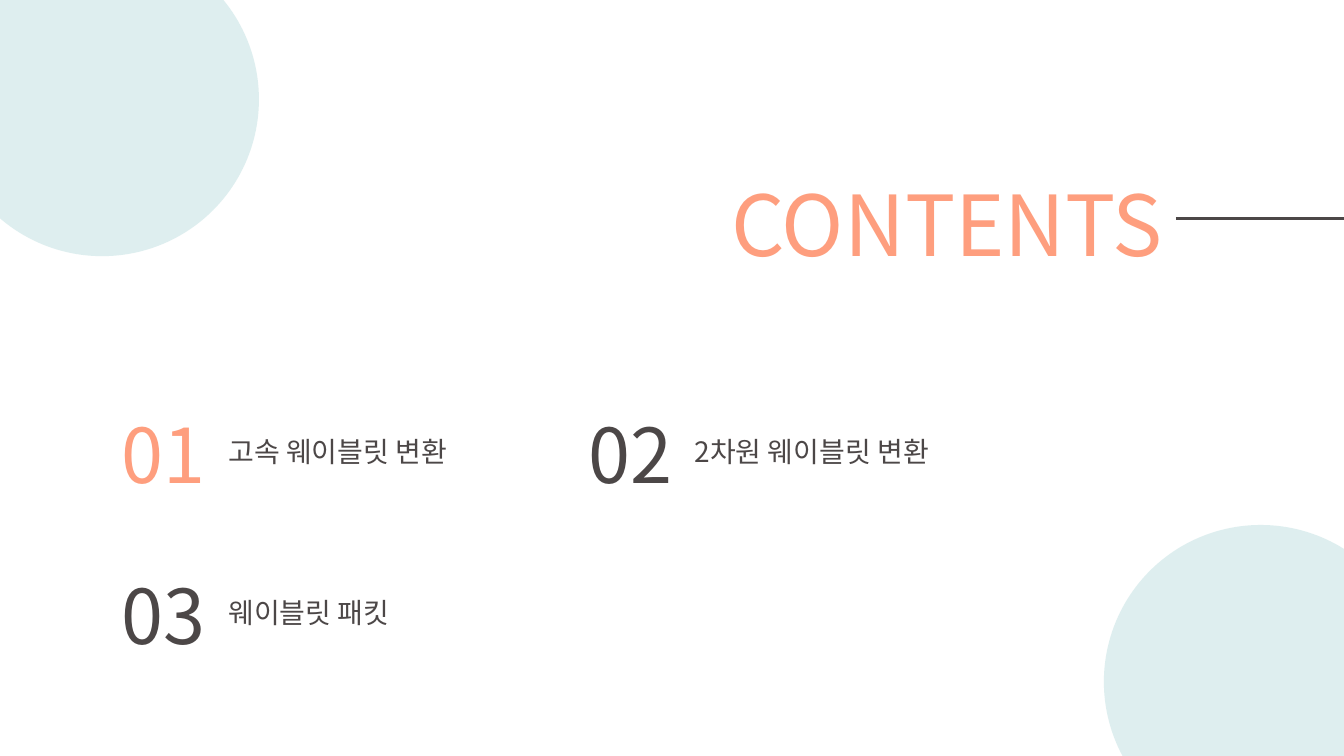
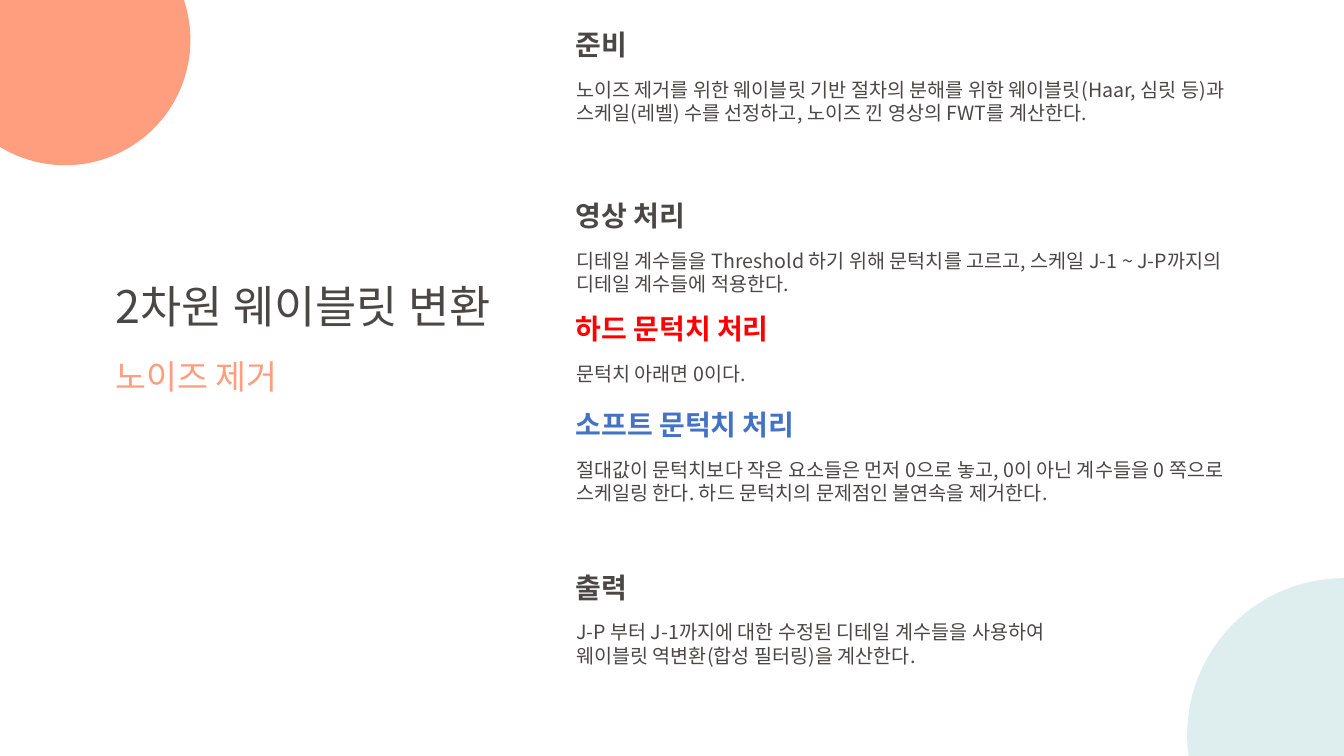
from lxml import etree
from pptx import Presentation
from pptx.dml.color import RGBColor
from pptx.enum.shapes import MSO_CONNECTOR, MSO_SHAPE
from pptx.enum.text import MSO_ANCHOR, MSO_AUTO_SIZE, PP_ALIGN
from pptx.oxml.ns import qn
from pptx.util import Pt

ELLIPSE = MSO_SHAPE.OVAL
STRAIGHT = MSO_CONNECTOR.STRAIGHT
TOP = MSO_ANCHOR.TOP
LEFT = PP_ALIGN.LEFT
NO_AUTOFIT = MSO_AUTO_SIZE.NONE

FONT = "Noto Sans CJK KR"
COLORS = {
    "coral": "FE9E7E",
    "mint": "C8E4E5",
    "dark": "4C4747",
    "red": "FF0000",
    "blue": "4472C4",
    "white": "FFFFFF",
}
SLIDE_WIDTH, SLIDE_HEIGHT = 960, 540
TITLE_ONLY = 5
LINE_HEIGHT = 1.2
TOP_SHIFT = 0.06
RIGHT_SIDE = 3

AGENDA = ["고속 웨이블릿 변환", "2차원 웨이블릿 변환", "웨이블릿 패킷"]
AGENDA_COLUMNS = 2

SECTIONS = [
    (15, "준비", "dark", [
        "노이즈 제거를 위한 웨이블릿 기반 절차의 분해를 위한 웨이블릿(Haar, 심릿 등)과",
        "스케일(레벨) 수를 선정하고, 노이즈 낀 영상의 FWT를 계산한다.",
    ]),
    (137, "영상 처리", "dark", [
        "디테일 계수들을 Threshold 하기 위해 문턱치를 고르고, 스케일 J-1 ~ J-P까지의",
        "디테일 계수들에 적용한다.",
    ]),
    (218, "하드 문턱치 처리", "red", ["문턱치 아래면 0이다."]),
    (286.5, "소프트 문턱치 처리", "blue", [
        "절대값이 문턱치보다 작은 요소들은 먼저 0으로 놓고, 0이 아닌 계수들을 0 쪽으로",
        "스케일링 한다. 하드 문턱치의 문제점인 불연속을 제거한다.",
    ]),
    (402.5, "출력", "dark", [
        "J-P 부터 J-1까지에 대한 수정된 디테일 계수들을 사용하여",
        "웨이블릿 역변환(합성 필터링)을 계산한다.",
    ]),
]


def rgb(color):
    return RGBColor.from_string(COLORS[color])


def set_opacity(fill_parent, percent):
    color = fill_parent.find(f".//{qn('a:srgbClr')}")
    etree.SubElement(color, qn("a:alpha"), val=str(percent * 1000))


def style_run(run, size, color, bold, outline):
    run.font.size = Pt(size)
    run.font.bold = bold
    run.font.color.rgb = rgb(color)
    run.font.name = FONT
    properties = run.font._element
    properties.find(qn("a:latin")).addnext(
        etree.Element(qn("a:ea"), typeface=FONT))
    line = etree.Element(qn("a:ln"), w=str(Pt(0.75)))
    fill = etree.SubElement(line, qn("a:solidFill"))
    etree.SubElement(fill, qn("a:srgbClr"), val=COLORS[outline])
    set_opacity(line, 20)
    properties.insert(0, line)


def write_lines(shape, box, lines, size, color, bold=False, outline=None):
    shape.left, shape.top, shape.width, shape.height = map(Pt, box)
    frame = shape.text_frame
    frame.word_wrap = True
    frame.auto_size = NO_AUTOFIT
    frame.vertical_anchor = TOP
    frame.margin_left = Pt(7.2)
    frame.margin_right = Pt(0)
    frame.margin_top = Pt(3.6 + TOP_SHIFT * size)
    frame.margin_bottom = Pt(0)
    for index, line in enumerate(lines):
        paragraph = frame.add_paragraph() if index else frame.paragraphs[0]
        paragraph.alignment = LEFT
        paragraph.line_spacing = Pt(LINE_HEIGHT * size)
        paragraph.space_before = Pt(0)
        run = paragraph.add_run()
        run.text = line
        style_run(run, size, color, bold, outline or color)


def add_text(slide, box, lines, size, color, **style):
    shape = slide.shapes.add_textbox(*map(Pt, box))
    write_lines(shape, box, lines, size, color, **style)


def add_title(slide, box, text, size, color):
    title = slide.shapes.title
    write_lines(title, box, [text], size, color)
    return title


def add_circle(slide, left, top, diameter, color, opacity=100):
    circle = slide.shapes.add_shape(
        ELLIPSE, Pt(left), Pt(top), Pt(diameter), Pt(diameter))
    circle.shadow.inherit = False
    circle.fill.solid()
    circle.fill.fore_color.rgb = rgb(color)
    circle.line.fill.background()
    if opacity < 100:
        set_opacity(circle._element.spPr, opacity)


def add_mint_circle(slide, left, top):
    add_circle(slide, left, top, 224, "mint", 60)


def add_title_rule(slide, title):
    middle = title.top + title.height // 2
    rule = slide.shapes.add_connector(
        STRAIGHT, title.left + title.width, middle, Pt(SLIDE_WIDTH), middle)
    rule.begin_connect(title, RIGHT_SIDE)
    rule.line.color.rgb = rgb("dark")
    rule.line.width = Pt(2.25)
    etree.SubElement(rule._element.spPr, qn("a:effectLst"))


def add_agenda_item(slide, left, top, number, label):
    number_color = "coral" if number == 1 else "dark"
    add_text(slide, (left, top, 76, 73), [f"{number:02d}"], 54, number_color)
    add_text(slide, (left + 76, top + 21, 201, 32), [label], 20, "dark")


def add_agenda(slide, left, top, column_pitch, row_pitch):
    for index, label in enumerate(AGENDA):
        row, column = divmod(index, AGENDA_COLUMNS)
        add_agenda_item(slide, left + column * column_pitch,
                        top + row * row_pitch, index + 1, label)


def add_section(slide, left, top, width, heading, color, lines):
    add_text(slide, (left, top, 190, 32), [heading], 20, color,
             bold=True, outline="dark")
    height = 7.2 + LINE_HEIGHT * 14 * len(lines)
    add_text(slide, (left + 0.5, top + 36, width, height), lines, 14, "dark")


def new_slide(presentation):
    slide = presentation.slides.add_slide(
        presentation.slide_layouts[TITLE_ONLY])
    slide.background.fill.solid()
    slide.background.fill.fore_color.rgb = rgb("white")
    return slide


def build_contents(presentation):
    slide = new_slide(presentation)
    title = add_title(slide, (515, 116, 325, 80), "CONTENTS", 60, "coral")
    add_title_rule(slide, title)
    add_mint_circle(slide, -39, -41)
    add_mint_circle(slide, 788.5, 375)
    add_agenda(slide, 80, 284.5, 333, 115)


def build_denoising(presentation):
    slide = new_slide(presentation)
    add_circle(slide, -43, -61, 179, "coral")
    add_title(slide, (75.5, 193.5, 313, 46), "2차원 웨이블릿 변환", 32, "dark")
    add_text(slide, (75.5, 249, 144, 36), ["노이즈 제거"], 24, "coral")
    add_mint_circle(slide, 848, 413)
    for top, heading, color, lines in SECTIONS:
        add_section(slide, 404, top, 534, heading, color, lines)


def main():
    presentation = Presentation()
    presentation.slide_width = Pt(SLIDE_WIDTH)
    presentation.slide_height = Pt(SLIDE_HEIGHT)
    build_contents(presentation)
    build_denoising(presentation)
    presentation.save("out.pptx")


if __name__ == "__main__":
    main()
